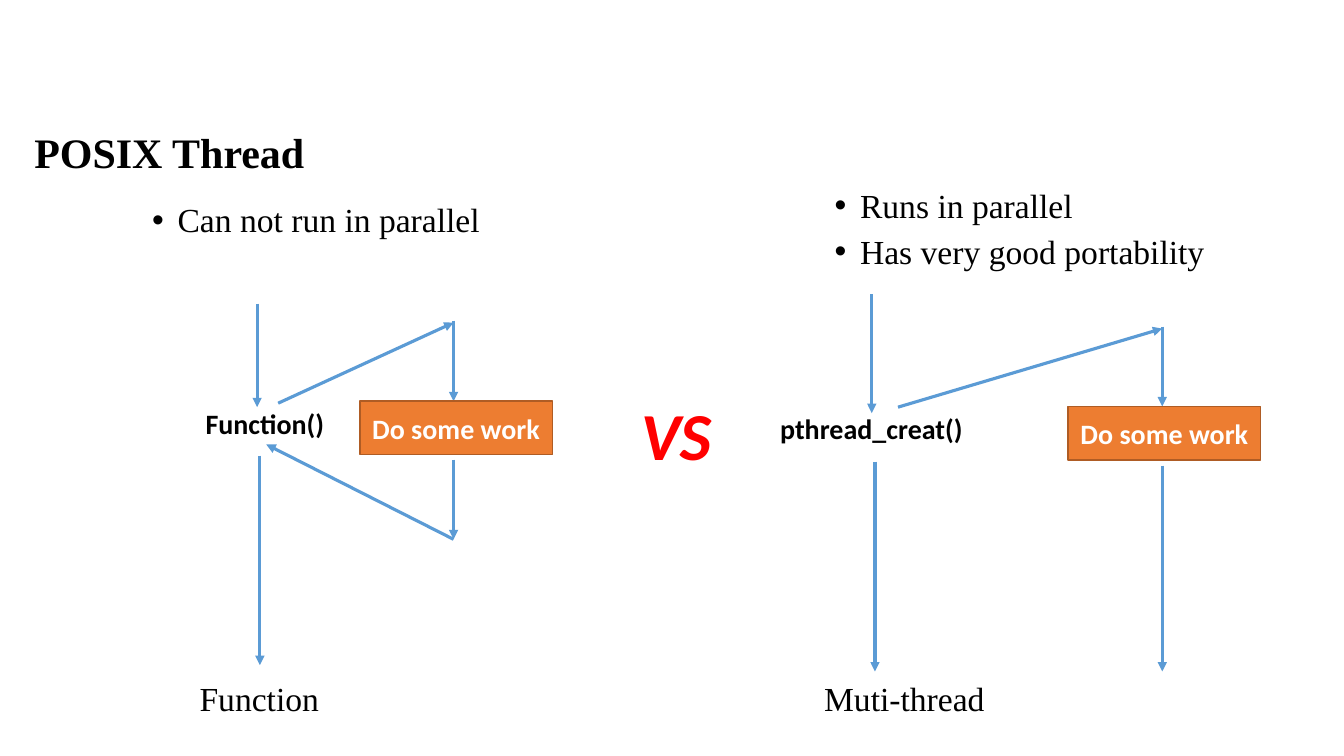
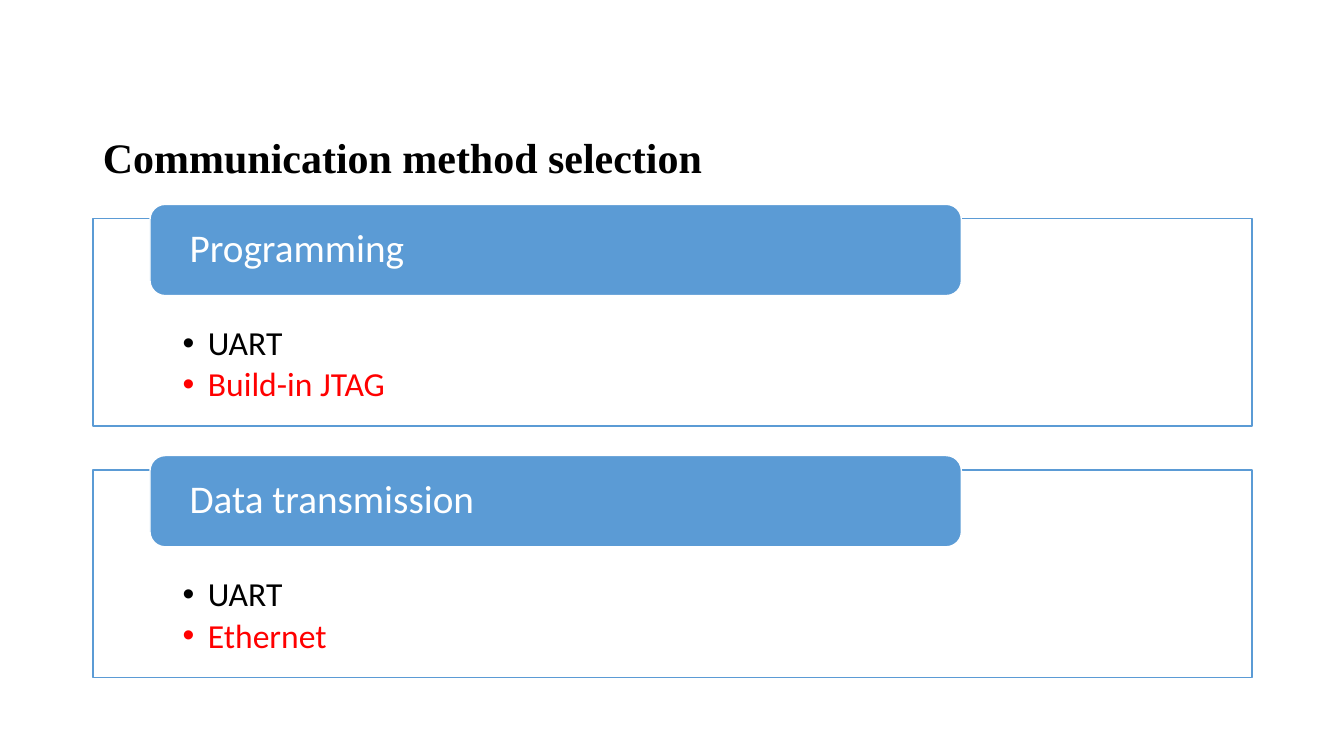
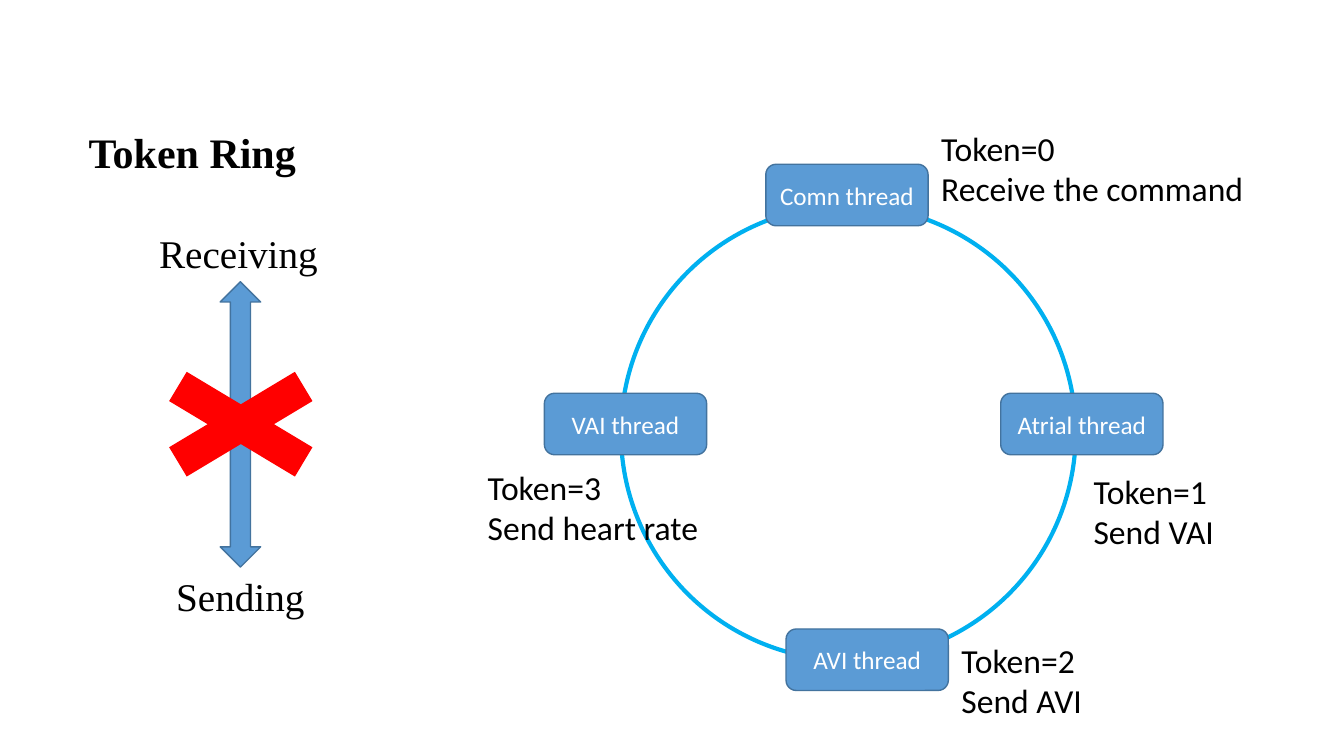
from lxml import etree
from pptx import Presentation
from pptx import util as u
from pptx.dml.color import RGBColor
from pptx.enum import shapes, text
from pptx.oxml.ns import qn

BLACK = RGBColor(0, 0, 0)
WHITE = RGBColor(0xFF, 0xFF, 0xFF)
RED = RGBColor(0xFF, 0, 0)
BLUE = RGBColor(0x5B, 0x9B, 0xD5)
NAVY = RGBColor(0x43, 0x73, 0x9E)
CYAN = RGBColor(0, 0xB0, 0xF0)
ORANGE = RGBColor(0xED, 0x7D, 0x31)
BROWN = RGBColor(0xAF, 0x5C, 0x24)
SANS = "Calibri"
SERIF = "Times New Roman"
LEFT = text.PP_ALIGN.LEFT
CENTER = text.PP_ALIGN.CENTER
MIDDLE = text.MSO_ANCHOR.MIDDLE
KIND = shapes.MSO_SHAPE


def place(item, box):
    """Move an item to left, top, width, height in centimetres."""
    item.left, item.top, item.width, item.height = map(u.Cm, box)


def write(para, words, size, face=SANS, color=BLACK, bold=False, slant=False):
    """Add one formatted run to a paragraph."""
    run = para.add_run()
    run.text = words
    font = run.font
    font.size, font.name = u.Pt(size), face
    font.bold, font.italic = bold, slant
    font.color.rgb = color


def bullet(para, color):
    """Give a paragraph a hanging round bullet."""
    props = para._p.get_or_add_pPr()
    props.set("marL", str(u.Cm(0.64)))
    props.set("indent", str(-u.Cm(0.64)))
    tint = etree.SubElement(props, qn("a:buClr"))
    etree.SubElement(tint, qn("a:srgbClr"), val=str(color))
    etree.SubElement(props, qn("a:buFont"), typeface="Arial")
    etree.SubElement(props, qn("a:buChar"), char="•")


def paint(shape, fill, line, width=1):
    """Set fill and outline, where None means neither."""
    if fill is None:
        shape.fill.background()
    else:
        shape.fill.solid()
        shape.fill.fore_color.rgb = fill
    if line is None:
        shape.line.fill.background()
    else:
        shape.line.color.rgb = line
        shape.line.width = u.Pt(width)


def block(slide, kind, box, fill, line, width=1):
    """Draw a preset shape without shadow."""
    shape = slide.shapes.add_shape(kind, *map(u.Cm, box))
    shape.shadow.inherit = False
    paint(shape, fill, line, width)
    return shape


def node(slide, kind, box, fill, line, words, size, bold=False):
    """Draw a shape with a centred white label."""
    frame = block(slide, kind, box, fill, line).text_frame
    frame.vertical_anchor = MIDDLE
    frame.word_wrap = True
    para = frame.paragraphs[0]
    para.alignment = CENTER
    write(para, words, size, color=WHITE, bold=bold)


def label(slide, box, lines, size, **style):
    """Add an unwrapped text box with one paragraph per line."""
    frame = slide.shapes.add_textbox(*map(u.Cm, box)).text_frame
    frame.word_wrap = False
    for i, words in enumerate(lines):
        para = frame.add_paragraph() if i else frame.paragraphs[0]
        write(para, words, size, **style)


def arrow(slide, x1, y1, x2, y2):
    """Draw a blue arrow between two points."""
    link = slide.shapes.add_connector(
        shapes.MSO_CONNECTOR.STRAIGHT, *map(u.Cm, (x1, y1, x2, y2)))
    link.line.color.rgb = BLUE
    link.line.width = u.Pt(2.25)
    etree.SubElement(link.line._get_or_add_ln(), qn("a:tailEnd"), type="triangle")
    etree.SubElement(link._element.spPr, qn("a:effectLst"))


def start(deck, layout, title, box):
    """Add a slide with the shared title style."""
    slide = deck.slides.add_slide(deck.slide_layouts[layout])
    head = slide.shapes.title
    place(head, box)
    frame = head.text_frame
    frame.vertical_anchor = MIDDLE
    frame.auto_size = text.MSO_AUTO_SIZE.NONE
    para = frame.paragraphs[0]
    para.alignment = LEFT
    para.line_spacing = 0.9
    write(para, title, 30, SERIF, bold=True)
    return slide


def points(body, box, items, face, pitch, before=0, after=0):
    """Fill a body placeholder with bulleted (words, colour) items."""
    place(body, box)
    frame = body.text_frame
    frame.auto_size = text.MSO_AUTO_SIZE.NONE
    for i, (words, color) in enumerate(items):
        para = frame.add_paragraph() if i else frame.paragraphs[0]
        bullet(para, color)
        para.line_spacing = pitch
        para.space_before = u.Pt(before if i else 0)
        para.space_after = u.Pt(after)
        write(para, words, 24, face, color)


def flow(slide, call, work, name, paths):
    """Draw a call, its work box, its caption and the arrows."""
    for ends in paths:
        arrow(slide, *ends)
    (words, x, y, width), (left, top) = call, work
    label(slide, (x, y, width, 1.12), [words], 20, bold=True)
    node(slide, KIND.RECTANGLE, (left, top, 4.85, 1.35), ORANGE, BROWN,
         "Do some work", 20, True)
    words, x, width = name
    label(slide, (x, 16.97, width, 1.27), [words], 24, face=SERIF)


def threads(deck):
    """Compare a function call with a thread."""
    slide = start(deck, 3, "POSIX Thread", (0.61, 2.84, 25.53, 2.11))
    holds = slide.placeholders
    points(holds[1], (3.58, 5, 11.84, 1.65),
           [("Can not run in parallel", BLACK)], SERIF, 0.9)
    points(holds[2], (20.78, 4.72, 11.84, 2.44),
           [("Runs in parallel", BLACK), ("Has very good portability", BLACK)],
           SERIF, 0.8, before=10)
    flow(slide, ("Function()", 4.93, 10.11, 3.53), (9.07, 10.11),
         ("Function", 4.78, 3.56),
         [(6.48, 7.65, 6.48, 10.26), (7.01, 10.16, 11.43, 8.13),
          (11.43, 8.08, 11.43, 10.11), (11.43, 13.59, 6.71, 11.2),
          (6.55, 11.48, 6.55, 16.76), (11.43, 11.58, 11.43, 13.59)])
    flow(slide, ("pthread_creat()", 19.41, 10.24, 5.16), (26.92, 10.24),
         ("Muti-thread", 20.52, 4.6),
         [(21.97, 7.42, 21.97, 10.41), (22.63, 10.26, 29.29, 8.28),
          (29.29, 8.23, 29.29, 10.24), (22.05, 11.63, 22.05, 16.92),
          (29.29, 11.73, 29.29, 16.92)])
    label(slide, (15.9, 9.78, 2.31, 2.31), ["VS"], 48,
          color=RED, bold=True, slant=True)


def methods(deck):
    """List the options for each kind of link."""
    slide = start(deck, 3, "Communication method selection",
                  (2.34, 2.97, 25.53, 2.11))
    groups = [("Programming", "Build-in JTAG"), ("Data transmission", "Ethernet")]
    for i, (name, choice) in enumerate(groups):
        top = 5.51 + 6.33 * i
        body = slide.placeholders[i + 1]
        points(body, (2.34, top, 29.21, 5.23),
               [("UART", BLACK), (choice, RED)], SANS, 0.9, after=3.6)
        paint(body, WHITE, BLUE)
        frame = body.text_frame
        frame.margin_left = frame.margin_right = u.Cm(2.26)
        frame.margin_top, frame.margin_bottom = u.Cm(2.72), u.Cm(0.48)
        tab = block(slide, KIND.ROUNDED_RECTANGLE,
                    (3.78, top - 0.36, 20.45, 2.3), BLUE, WHITE)
        frame = tab.text_frame
        frame.vertical_anchor = MIDDLE
        frame.margin_left = u.Cm(0.89)
        para = frame.paragraphs[0]
        para.alignment = LEFT
        para.line_spacing = 0.9
        write(para, name, 28, color=WHITE)


def ring(deck):
    """Show the token passing between four threads."""
    slide = start(deck, 5, "Token Ring", (1.98, 2.84, 7.11, 2.11))
    label(slide, (3.76, 5.66, 4.9, 1.45), ["Receiving"], 28, face=SERIF)
    label(slide, (4.19, 14.3, 3.78, 1.45), ["Sending"], 28, face=SERIF)
    block(slide, KIND.UP_DOWN_ARROW, (5.55, 7.1, 1.02, 7.19), BLUE, NAVY)
    block(slide, KIND.MATH_MULTIPLY, (3.02, 8.86, 6.1, 3.66), RED, None)
    block(slide, KIND.OVAL, (15.65, 5.18, 11.46, 11.46), None, CYAN, 3)
    stops = [
        ("Comn thread", 19.3, 4.14, "Receive the command", 23.47, 3.1, 8.2),
        ("Atrial thread", 25.22, 9.91, "Send VAI", 27.31, 11.73, 3.58),
        ("AVI thread", 19.81, 15.85, "Send AVI", 23.98, 16, 3.58),
        ("VAI thread", 13.72, 9.91, "Send heart rate", 12.04, 11.63, 5.87),
    ]
    for i, (name, left, top, task, x, y, width) in enumerate(stops):
        node(slide, KIND.ROUNDED_RECTANGLE, (left, top, 4.09, 1.55),
             BLUE, NAVY, name, 18)
        label(slide, (x, y, width, 2.31), [f"Token={i}", task], 24)


def main():
    """Build and save the deck."""
    deck = Presentation()
    deck.slide_width, deck.slide_height = u.Cm(33.87), u.Cm(19.05)
    threads(deck)
    methods(deck)
    ring(deck)
    deck.save("out.pptx")


if __name__ == "__main__":
    main()
